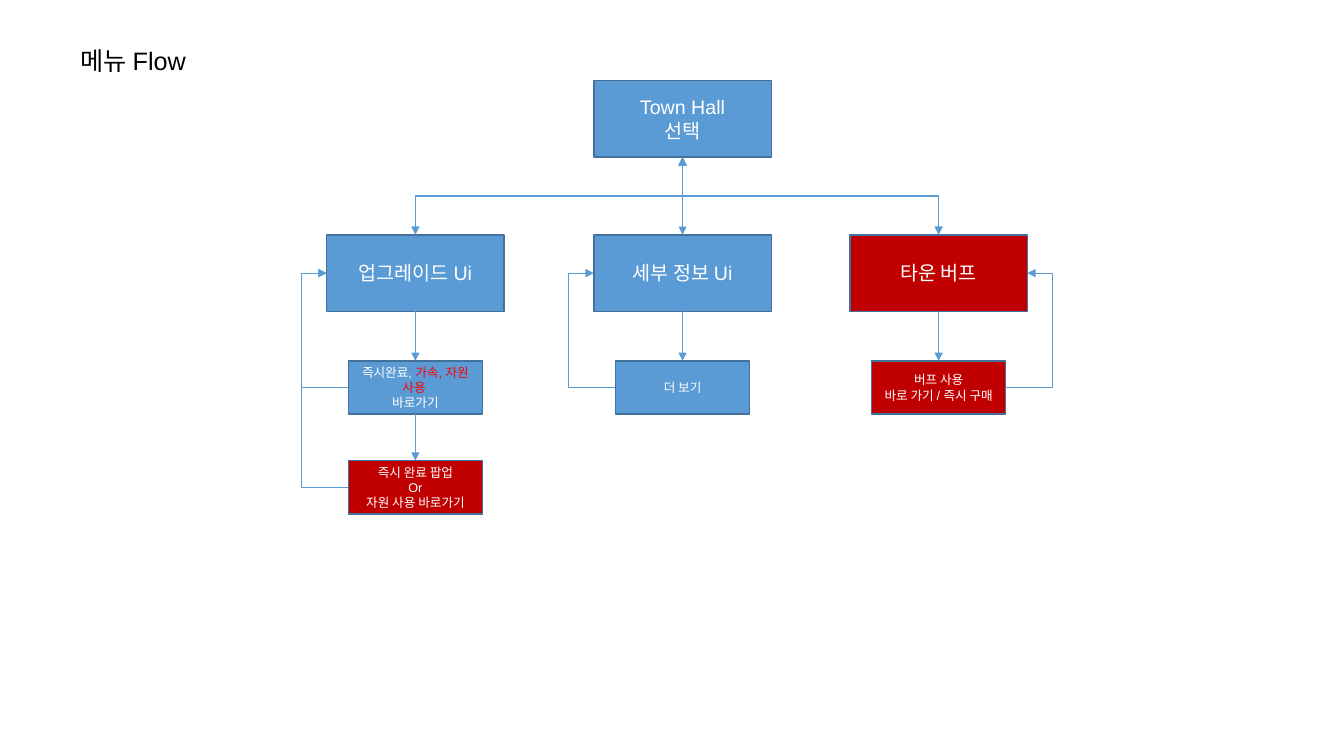
"""Builds the menu flow slide for the town hall screens."""
from lxml import etree
from pptx import Presentation
from pptx import util as u
from pptx.dml.color import RGBColor
from pptx.enum import shapes, text
from pptx.oxml.ns import qn

COLOURS = {
    "blue": "5B9BD5",
    "border": "42719B",
    "red": "C00000",
    "accent": "FF0000",
    "white": "FFFFFF",
    "black": "000000",
}
FONT = "Arial"
TOP, LEFT, BOTTOM, RIGHT = range(4)
MENU = (1.76, 0.76, 14)
ACTION = (1.33, 0.53, 9)
UPGRADE_X, DETAIL_X, BUFF_X = 4.12, 6.77, 9.31
ROOT_Y, MENU_Y, ACTION_Y, POPUP_Y = 0.8, 2.33, 3.58, 4.57
RETURN_BEND = 2.175


def colour(name):
    """Return the named colour."""
    return RGBColor.from_string(COLOURS[name])


def format_font(font, size, name):
    """Set the typeface, size and colour of a font."""
    font.name = FONT
    font.size = u.Pt(size)
    font.color.rgb = colour(name)


def add_title(slide, wording):
    """Place the heading in the title placeholder."""
    heading = slide.shapes.title
    heading.left, heading.top = u.Inches(0.7), u.Inches(0.4)
    heading.width, heading.height = u.Inches(1.32), u.Inches(0.4)
    frame = heading.text_frame
    frame.text = wording
    frame.word_wrap = False
    frame.auto_size = text.MSO_AUTO_SIZE.NONE
    frame.vertical_anchor = text.MSO_ANCHOR.TOP
    frame.paragraphs[0].alignment = text.PP_ALIGN.LEFT
    format_font(frame.paragraphs[0].font, 18, "black")


def add_step(slide, kind, centre, top, fill, *lines):
    """Add a box whose lines are strings or lists of (wording, colour)."""
    width, height, size = kind
    step = slide.shapes.add_shape(
        shapes.MSO_SHAPE.RECTANGLE, u.Inches(centre - width / 2),
        u.Inches(top), u.Inches(width), u.Inches(height))
    step.shadow.inherit = False
    step.fill.solid()
    step.fill.fore_color.rgb = colour(fill)
    step.line.color.rgb = colour("border")
    step.line.width = u.Pt(1)
    frame = step.text_frame
    frame.word_wrap = True
    frame.vertical_anchor = text.MSO_ANCHOR.MIDDLE
    for index, line in enumerate(lines):
        paragraph = frame.add_paragraph() if index else frame.paragraphs[0]
        paragraph.alignment = text.PP_ALIGN.CENTER
        format_font(paragraph.font, size, "white")
        if isinstance(line, str):
            paragraph.add_run().text = line
            continue
        for wording, name in line:
            run = paragraph.add_run()
            run.text = wording
            format_font(run.font, size, name)
    return step


def add_link(slide, route, start, start_side, end, end_side, two_way=False):
    """Join two boxes with an arrow."""
    link = slide.shapes.add_connector(route, 0, 0, 0, 0)
    link.begin_connect(start, start_side)
    link.end_connect(end, end_side)
    link.line.color.rgb = colour("blue")
    link.line.width = u.Pt(0.75)
    line = link.line._get_or_add_ln()
    for tag in ("a:headEnd", "a:tailEnd") if two_way else ("a:tailEnd",):
        etree.SubElement(line, qn(tag), type="triangle")
    etree.SubElement(link._element.spPr, qn("a:effectLst"))
    return link


def add_down(slide, upper, lower, two_way=False):
    """Add a straight arrow from one box down to the next."""
    add_link(slide, shapes.MSO_CONNECTOR.STRAIGHT, upper, BOTTOM, lower, TOP,
             two_way)


def add_branch(slide, upper, lower):
    """Add a two-way elbow that leaves downwards, turns and goes down again."""
    link = add_link(slide, shapes.MSO_CONNECTOR.ELBOW, upper, BOTTOM, lower,
                    TOP, two_way=True)
    to_right = link.end_x > link.begin_x
    middle_x = (link.begin_x + link.end_x) // 2
    middle_y = (link.begin_y + link.end_y) // 2
    link.width, link.height = link.height, link.width
    link.left = middle_x - link.width // 2
    link.top = middle_y - link.height // 2
    xfrm = link._element.spPr.find(qn("a:xfrm"))
    xfrm.set("rot", str((270 if to_right else 90) * 60000))
    xfrm.set("flipH", "1" if to_right else "0")
    xfrm.set("flipV", "0")


def add_return(slide, lower, upper, side):
    """Add an elbow that runs outside the boxes and back up to a menu."""
    link = add_link(slide, shapes.MSO_CONNECTOR.ELBOW, lower, side, upper, side)
    geometry = link._element.spPr.find(qn("a:prstGeom"))
    adjustments = geometry.find(qn("a:avLst"))
    if adjustments is None:
        adjustments = etree.SubElement(geometry, qn("a:avLst"))
    etree.SubElement(adjustments, qn("a:gd"), name="adj1",
                     fmla=f"val {round(RETURN_BEND * 100000)}")


def main():
    """Build and save the slide."""
    deck = Presentation()
    deck.slide_width, deck.slide_height = u.Inches(13.33), u.Inches(7.5)
    slide = deck.slides.add_slide(deck.slide_layouts[5])
    add_title(slide, "메뉴 Flow")

    town_hall = add_step(slide, MENU, DETAIL_X, ROOT_Y, "blue",
                         "Town Hall", "선택")
    upgrade = add_step(slide, MENU, UPGRADE_X, MENU_Y, "blue", "업그레이드 Ui")
    detail = add_step(slide, MENU, DETAIL_X, MENU_Y, "blue", "세부 정보 Ui")
    buff = add_step(slide, MENU, BUFF_X, MENU_Y, "red", "타운 버프")
    shortcut = add_step(
        slide, ACTION, UPGRADE_X, ACTION_Y, "blue",
        [("즉시완료, ", "white"), ("가속, 자원 사용 ", "accent")], "바로가기")
    popup = add_step(slide, ACTION, UPGRADE_X, POPUP_Y, "red",
                     "즉시 완료 팝업", "Or", "자원 사용 바로가기")
    more = add_step(slide, ACTION, DETAIL_X, ACTION_Y, "blue", "더 보기")
    use_buff = add_step(slide, ACTION, BUFF_X, ACTION_Y, "red",
                        "버프 사용", "바로 가기 / 즉시 구매")

    add_down(slide, town_hall, detail, two_way=True)
    for menu in (upgrade, buff):
        add_branch(slide, town_hall, menu)
    for upper, lower in ((upgrade, shortcut), (shortcut, popup),
                         (detail, more), (buff, use_buff)):
        add_down(slide, upper, lower)
    for lower, upper, side in ((popup, upgrade, LEFT),
                               (shortcut, upgrade, LEFT),
                               (more, detail, LEFT),
                               (use_buff, buff, RIGHT)):
        add_return(slide, lower, upper, side)

    deck.save("out.pptx")


if __name__ == "__main__":
    main()
